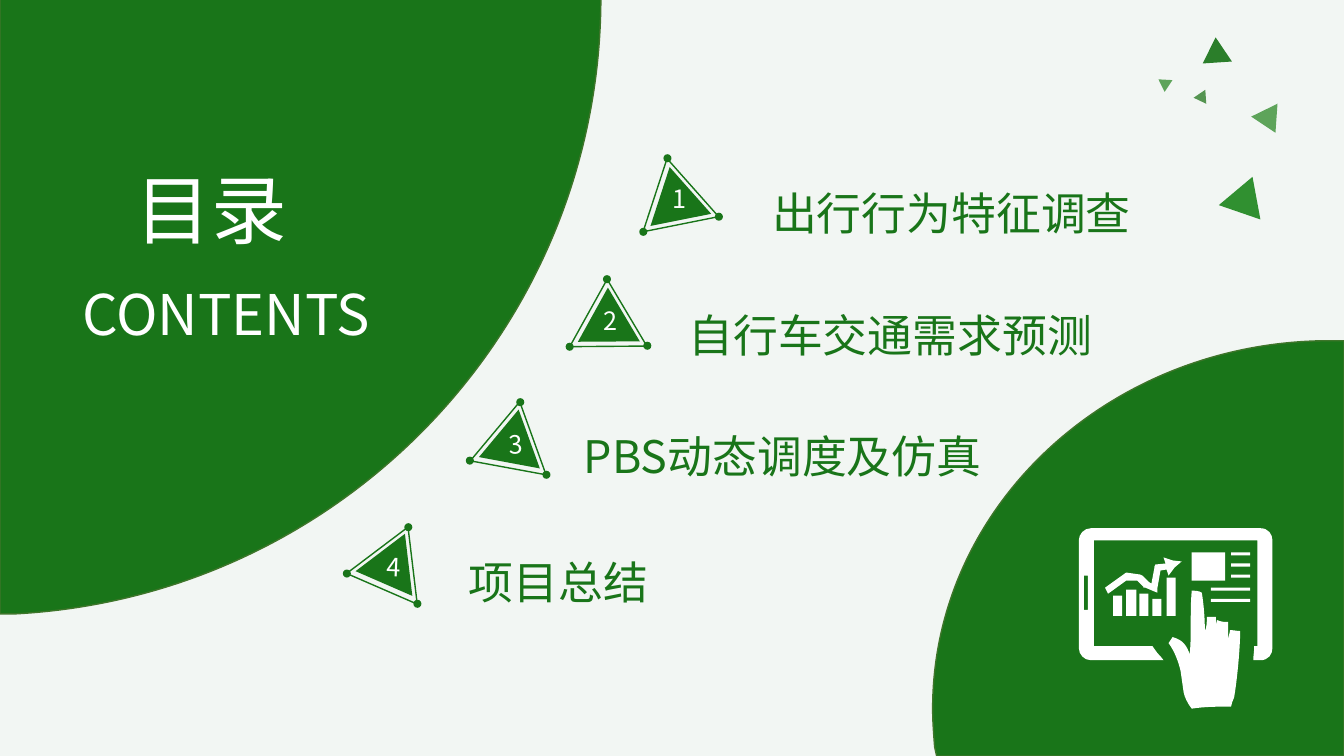
from math import cos, radians, sin
from lxml.etree import Element, SubElement
from pptx import Presentation
from pptx.dml.color import RGBColor as RGB
from pptx.enum.shapes import MSO_SHAPE as Preset
from pptx.enum.text import MSO_AUTO_SIZE as AutoSize, PP_ALIGN as Align
from pptx.oxml.ns import qn
from pptx.util import Pt

PX = 9144
THEME = {
    "font": "Noto Sans CJK SC",
    "green": "197519", "edge": "3E752A", "white": "FFFFFF", "page": "F2F6F3",
    "heading": 54, "subheading": 40, "item": 32, "number": 18,
}


def write(shapes, text, left, top, width, height, size, color, align=Align.LEFT, rotation=0):
    box = shapes.add_textbox(left * PX, top * PX, width * PX, height * PX)
    box.rotation = rotation
    frame = box.text_frame
    frame.word_wrap = True
    frame.auto_size = AutoSize.SHAPE_TO_FIT_TEXT
    paragraph = frame.paragraphs[0]
    paragraph.alignment = align
    run = paragraph.add_run()
    run.text = text
    run.font.size = Pt(THEME[size])
    run.font.name = THEME["font"]
    run.font.color.rgb = RGB.from_string(THEME[color])
    SubElement(run.font._element, qn("a:ea")).set("typeface", THEME["font"])


def paint(shape, fill=None, line=None):
    shape.shadow.inherit = False
    if fill:
        shape.fill.solid()
        shape.fill.fore_color.rgb = RGB.from_string(fill)
    else:
        shape.fill.background()
    if line:
        shape.line.color.rgb = RGB.from_string(line)
        shape.line.width = Pt(1)
    else:
        shape.line.fill.background()


presentation = Presentation()
presentation.slide_width, presentation.slide_height = 1333 * PX, 750 * PX
slide = presentation.slides.add_slide(presentation.slide_layouts[6])
slide.background.fill.solid()
slide.background.fill.fore_color.rgb = RGB.from_string(THEME["page"])

confetti = [
    (1245, 108, 29, 25, 153.9, "5EA45A"),
    (1206, 181, 43, 38, 259.5, "309030"),
    (1192, 37, 29, 25, 356.2, "2B7E2A"),
    (1147, 76, 14, 12, 303.5, "5EA45A"),
    (1186, 92, 14, 12, 145.8, "559551"),
]
for left, top, width, height, angle, color in confetti:
    triangle = slide.shapes.add_shape(Preset.ISOSCELES_TRIANGLE, left * PX, top * PX, width * PX, height * PX)
    triangle.rotation = angle
    paint(triangle, fill=color)

MARKER_W, MARKER_H, DOT = 77, 66, 8
items = [
    ("出行行为特征调查", (756, 179), (624, 175), 228.4, (657, 177), 0),
    ("自行车交通需求预测", (673, 300), (555, 294), 239.3, (589, 298), 0),
    ("PBS动态调度及仿真", (569, 420), (459, 413), 250.2, (495, 421), 356.4),
    ("项目总结", (455, 545), (338, 532), 263.2, (374, 542), 2.1),
]
for number, (title, title_at, (left, top), angle, number_at, tilt) in enumerate(items, 1):
    write(slide.shapes, title, *title_at, 499, 64, "item", "green")
    marker = slide.shapes.add_group_shape().shapes
    triangles = [
        (left, top, MARKER_W, MARKER_H, None, THEME["green"]),
        (left + 10, top + 5, 62, 53, THEME["green"], None),
    ]
    for x, y, width, height, fill, line in triangles:
        triangle = marker.add_shape(Preset.ISOSCELES_TRIANGLE, x * PX, y * PX, width * PX, height * PX)
        triangle.rotation = angle
        paint(triangle, fill, line)
    turn = radians(angle)
    for x, y in [(-MARKER_W / 2, MARKER_H / 2), (MARKER_W / 2, MARKER_H / 2), (0, -MARKER_H / 2)]:
        dot_left = round(left + MARKER_W / 2 + x * cos(turn) - y * sin(turn) - DOT / 2)
        dot_top = round(top + MARKER_H / 2 + x * sin(turn) + y * cos(turn) - DOT / 2)
        dot = marker.add_shape(Preset.OVAL, dot_left * PX, dot_top * PX, DOT * PX, DOT * PX)
        paint(dot, fill=THEME["green"])
    write(marker, str(number), *number_at, 25, 40, "number", "white", Align.CENTER, tilt)

heading_panel = slide.shapes.add_group_shape().shapes
tablet_panel = slide.shapes.add_group_shape().shapes

heading_disc = [(0, -3), (596, -3), (596, 325, 339, 592, 15, 609), (0, 609)]
tablet_disc = [
    (1319, 338), (1333, 338), (1333, 750), (929, 750), (927, 741),
    (926, 728, 925, 716, 925, 703), (925, 501, 1102, 338, 1319, 338),
]
tablet_frame = [
    (1082, 524), (1250, 524), (1258, 524, 1262, 530, 1262, 536), (1262, 643),
    (1262, 649, 1258, 655, 1250, 655), (1243, 655), (1243, 651, 1244, 646, 1244, 641),
    (1247, 641), (1247, 536), (1085, 536), (1085, 641), (1143, 641), (1148, 648),
    (1149, 649, 1152, 652, 1154, 655), (1082, 655), (1075, 655, 1070, 649, 1070, 643),
    (1070, 536), (1070, 530, 1075, 524, 1082, 524),
]
trend_arrow = [
    (1096, 583), (1099, 589), (1117, 576), (1128, 576), (1134, 582), (1134, 583),
    (1136, 583), (1143, 586), (1148, 588), (1148, 583), (1151, 566), (1157, 565),
    (1159, 571), (1165, 563), (1172, 557), (1163, 556), (1154, 553), (1156, 559),
    (1146, 560), (1145, 562), (1145, 563), (1142, 579), (1139, 577), (1133, 571),
    (1131, 570), (1117, 568),
]
hand = [
    (1195, 626), (1195, 614, 1194, 600, 1192, 588), (1189, 586, 1185, 586, 1182, 586),
    (1180, 608, 1182, 628, 1180, 649), (1177, 641, 1174, 635, 1163, 632),
    (1162, 635, 1160, 635, 1159, 638), (1165, 646, 1169, 657, 1171, 666), (1174, 687),
    (1175, 692, 1178, 698, 1182, 703), (1195, 701, 1206, 701, 1221, 701),
    (1221, 698, 1223, 695, 1224, 692), (1227, 675, 1230, 643, 1230, 626),
    (1226, 626, 1224, 625, 1220, 625), (1220, 626, 1218, 634, 1218, 635), (1218, 617),
    (1214, 617, 1211, 617, 1207, 615), (1207, 617, 1207, 618, 1206, 620), (1206, 612),
    (1197, 612), (1197, 617, 1197, 622, 1195, 626),
]
blocks = [(1182, 548, 33, 28), (1075, 571, 4, 34)]
blocks += [(1221, y, 19, 3) for y in (548, 559, 570)]
blocks += [(1201, y, 39, 3) for y in (583, 594)]
bars = [(1104, 591, 9), (1117, 585, 10), (1130, 589, 9), (1143, 594, 9), (1157, 573, 9)]
blocks += [(x, y, width, 611 - y) for x, y, width in bars]
block_contours = [[(x, y), (x + w, y), (x + w, y + h), (x, y + h)] for x, y, w, h in blocks]

outlines = [
    (heading_panel, [heading_disc], THEME["green"], THEME["edge"]),
    (tablet_panel, [tablet_disc], THEME["green"], THEME["edge"]),
    (tablet_panel, [tablet_frame, trend_arrow, hand, *block_contours], THEME["white"], None),
]
for shapes, contours, fill, line in outlines:
    builder = shapes.build_freeform(*contours[0][0], scale=PX)
    for index, (start, *segments) in enumerate(contours):
        if index:
            builder.move_to(*start)
        points = [point for segment in segments for point in zip(segment[::2], segment[1::2])]
        builder.add_line_segments(points, close=True)
    shape = builder.convert_to_shape()
    paint(shape, fill, line)
    steps = iter(list(shape._element.iter(qn("a:lnTo"))))
    for segment in [segment for contour in contours for segment in contour[1:]]:
        first = next(steps)
        if len(segment) == 6:
            curve = Element(qn("a:cubicBezTo"))
            first.addprevious(curve)
            for step in (first, next(steps), next(steps)):
                curve.append(step[0])
                step.getparent().remove(step)

write(heading_panel, "目录", 125, 157, 208, 101, "heading", "white", Align.JUSTIFY)
write(heading_panel, "CONTENTS", 72, 272, 337, 77, "subheading", "white", Align.JUSTIFY)

presentation.save("out.pptx")
